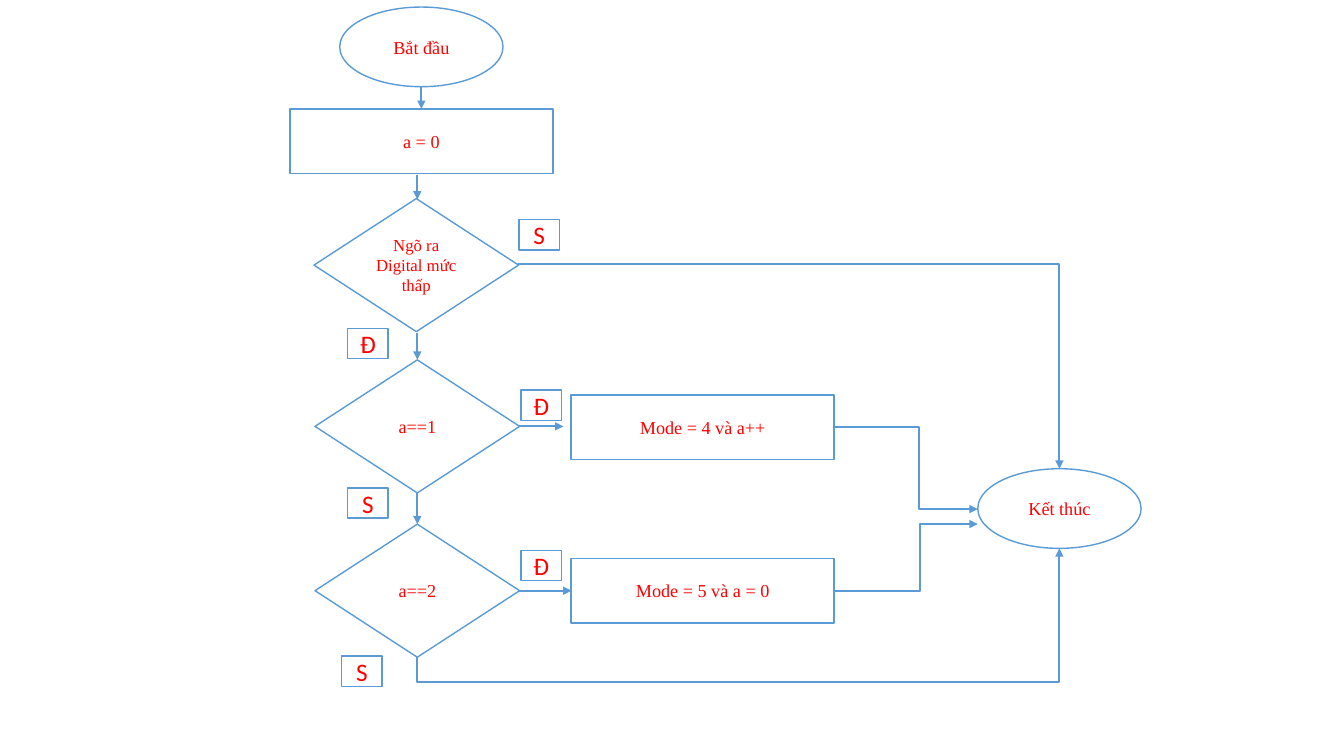
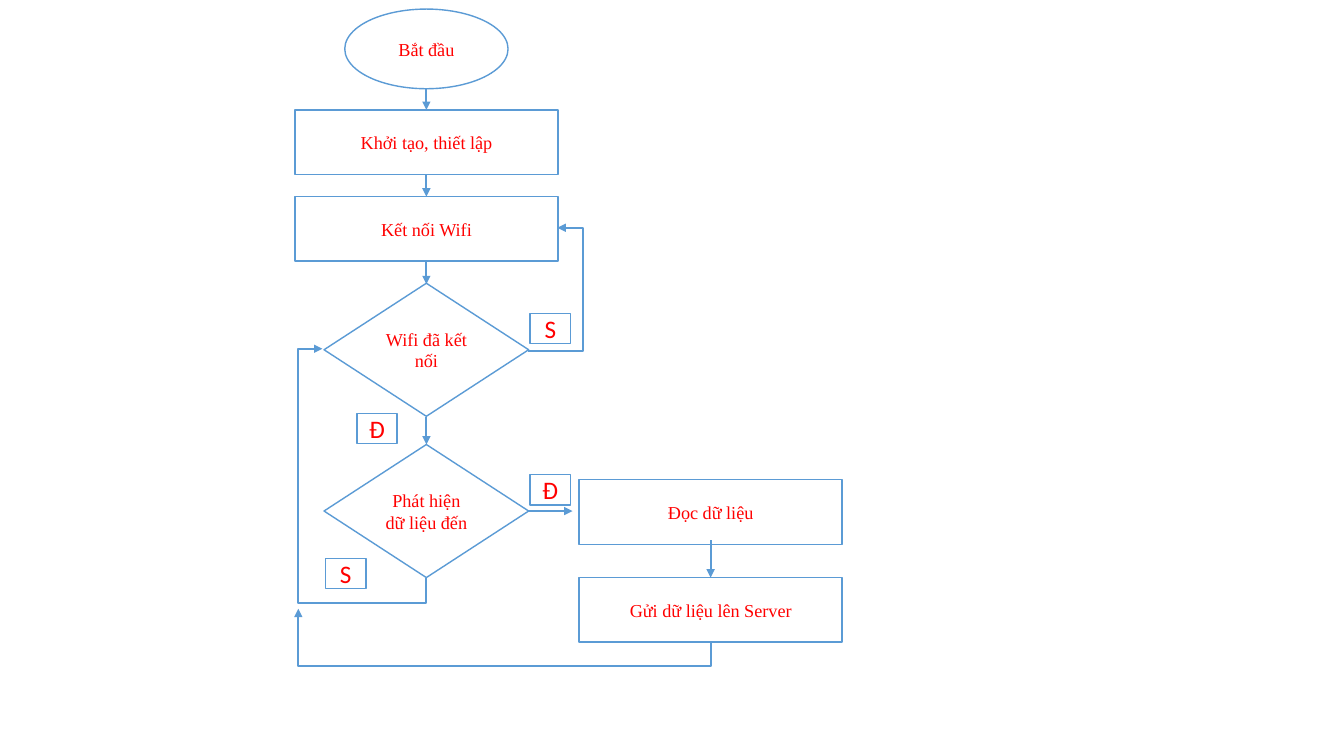
from dataclasses import dataclass

from lxml import etree
from pptx import Presentation
from pptx.dml.color import RGBColor
from pptx.enum.shapes import MSO_CONNECTOR, MSO_SHAPE
from pptx.enum.text import MSO_ANCHOR, PP_ALIGN
from pptx.oxml.ns import qn
from pptx.util import Inches, Pt

DIAMOND, BOX, OVAL = MSO_SHAPE.DIAMOND, MSO_SHAPE.RECTANGLE, MSO_SHAPE.OVAL
STRAIGHT, ELBOW = MSO_CONNECTOR.STRAIGHT, MSO_CONNECTOR.ELBOW
CENTER, MIDDLE = PP_ALIGN.CENTER, MSO_ANCHOR.MIDDLE


@dataclass(frozen=True)
class Theme:
    fill: RGBColor = RGBColor(0xFF, 0xFF, 0xFF)
    line: RGBColor = RGBColor(0x5B, 0x9B, 0xD5)
    text: RGBColor = RGBColor(0xFF, 0x00, 0x00)
    font: str = "Times New Roman"
    tag_font: str = "Calibri"
    size: int = 13
    small: int = 12
    tag_size: int = 18
    outline: float = 1
    arrow: float = 1.5


T = Theme()
CELL = Inches(0.1)
SIZES = {DIAMOND: (20.3, 13.2), BOX: (26.1, 6.4), OVAL: (16.2, 7.9)}
TAG_SIZE = (4, 3)


def add_node(s, kind, center, text, cells, font=T.font, size=T.size):
    (x, y), (w, h) = center, cells
    sp = s.shapes.add_shape(kind, *(round(v * CELL) for v in (x - w / 2, y - h / 2, w, h)))
    sp.shadow.inherit = False
    sp.fill.solid()
    sp.fill.fore_color.rgb = T.fill
    sp.line.color.rgb = T.line
    sp.line.width = Pt(T.outline)
    tf = sp.text_frame
    tf.word_wrap = True
    tf.vertical_anchor = MIDDLE
    p = tf.paragraphs[0]
    p.alignment = CENTER
    r = p.add_run()
    r.text = text
    r.font.name = font
    r.font.size = Pt(size)
    r.font.color.rgb = T.text


def add_arrow(s, begin, end, lanes=None, vertical=False):
    a, b = begin, end
    if vertical:
        cx, cy = (a[0] + b[0]) / 2, (a[1] + b[1]) / 2
        a, b = ((cx + y - cy, cy - x + cx) for x, y in (begin, end))
    kind = STRAIGHT if lanes is None else ELBOW
    c = s.shapes.add_connector(kind, *(round(v * CELL) for v in (*a, *b)))
    c.line.color.rgb = T.line
    c.line.width = Pt(T.arrow)
    pr = c.element.spPr
    etree.SubElement(pr.find(qn("a:ln")), qn("a:tailEnd"), type="triangle")
    etree.SubElement(pr, qn("a:effectLst"))
    if lanes is None:
        return
    if vertical:
        c.rotation = 90
    geom = pr.find(qn("a:prstGeom"))
    geom.set("prst", f"bentConnector{len(lanes) + 2}")
    for i, lane in enumerate(lanes):
        axis = (i + vertical) % 2
        share = (lane - begin[axis]) / (end[axis] - begin[axis])
        etree.SubElement(geom.find(qn("a:avLst")), qn("a:gd"),
                         name=f"adj{i + 1}", fmla=f"val {round(share * 100000)}")


MAIN, MODE, END = 41.4, 69.7, 105.1
FLOW, DATA, LOOP = 42.3, 70.5, 29.6

slides = [
    dict(
        nodes=[
            (OVAL, (41.8, 4.65), "Bắt đầu", T.size),
            (BOX, (41.8, 14), "a = 0", T.size),
            (DIAMOND, (41.3, 26.3), "Ngõ ra Digital mức thấp", T.small),
            (DIAMOND, (MAIN, 42.3), "a==1", T.size),
            (DIAMOND, (MAIN, 58.6), "a==2", T.size),
            (BOX, (MODE, 42.4), "Mode = 4 và a++", T.size),
            (BOX, (MODE, 58.6), "Mode = 5 và a = 0", T.size),
            (OVAL, (END, 50.45), "Kết thúc", T.size),
        ],
        tags=[
            ("S", (53.5, 23.3)), ("Đ", (36.5, 34.1)), ("Đ", (53.7, 40.2)),
            ("S", (36.5, 49.9)), ("Đ", (53.7, 56.1)), ("S", (35.9, 66.6)),
        ],
        arrows=[
            ((41.8, 8.6), (41.8, 10.8)),
            ((MAIN, 17.4), (MAIN, 19.8)),
            ((MAIN, 33), (MAIN, 35.7)),
            ((MAIN, 48.9), (MAIN, 52)),
            ((51.5, 42.3), (55.9, 42.3)),
            ((51.5, 58.6), (56.7, 58.6)),
            ((82.6, 42.4), (97, 50.5), [91.2]),
            ((82.7, 58.6), (97, 52), [91.3]),
            ((51.4, 26.2), (END, 46.5), []),
            ((MAIN, 65.2), (END, 54.4), [67.7], True),
        ],
    ),
    dict(
        nodes=[
            (OVAL, (FLOW, 4.85), "Bắt đầu", T.size),
            (BOX, (FLOW, 14.1), "Khởi tạo, thiết lập", T.size),
            (BOX, (FLOW, 22.7), "Kết nối Wifi", T.size),
            (DIAMOND, (FLOW, 34.7), "Wifi đã kết nối", T.size),
            (DIAMOND, (FLOW, 50.7), "Phát hiện dữ liệu đến", T.size),
            (BOX, (DATA, 50.8), "Đọc dữ liệu", T.size),
            (BOX, (DATA, 60.5), "Gửi dữ liệu lên Server", T.size),
        ],
        tags=[
            ("S", (54.6, 32.6)), ("Đ", (37.4, 42.5)),
            ("Đ", (54.6, 48.6)), ("S", (34.3, 56.9)),
        ],
        arrows=[
            ((FLOW, 8.8), (FLOW, 10.9)),
            ((FLOW, 17.3), (FLOW, 19.5)),
            ((FLOW, 25.8), (FLOW, 28.2)),
            ((FLOW, 41.4), (FLOW, 44.1)),
            ((52.4, 50.7), (56.8, 50.7)),
            ((DATA, 53.6), (DATA, 57.3)),
            ((52.4, 34.8), (55.3, 22.6), [57.8]),
            ((FLOW, 57.3), (32, 34.6), [59.8, LOOP], True),
            ((DATA, 63.6), (LOOP, 60.4), [66.1, LOOP], True),
        ],
    ),
]

prs = Presentation()
prs.slide_width, prs.slide_height = Inches(13.333), Inches(7.5)
for chart in slides:
    s = prs.slides.add_slide(prs.slide_layouts[6])
    for kind, center, text, size in chart["nodes"]:
        add_node(s, kind, center, text, SIZES[kind], size=size)
    for arrow in chart["arrows"]:
        add_arrow(s, *arrow)
    for text, center in chart["tags"]:
        add_node(s, BOX, center, text, TAG_SIZE, T.tag_font, T.tag_size)
prs.save("out.pptx")
